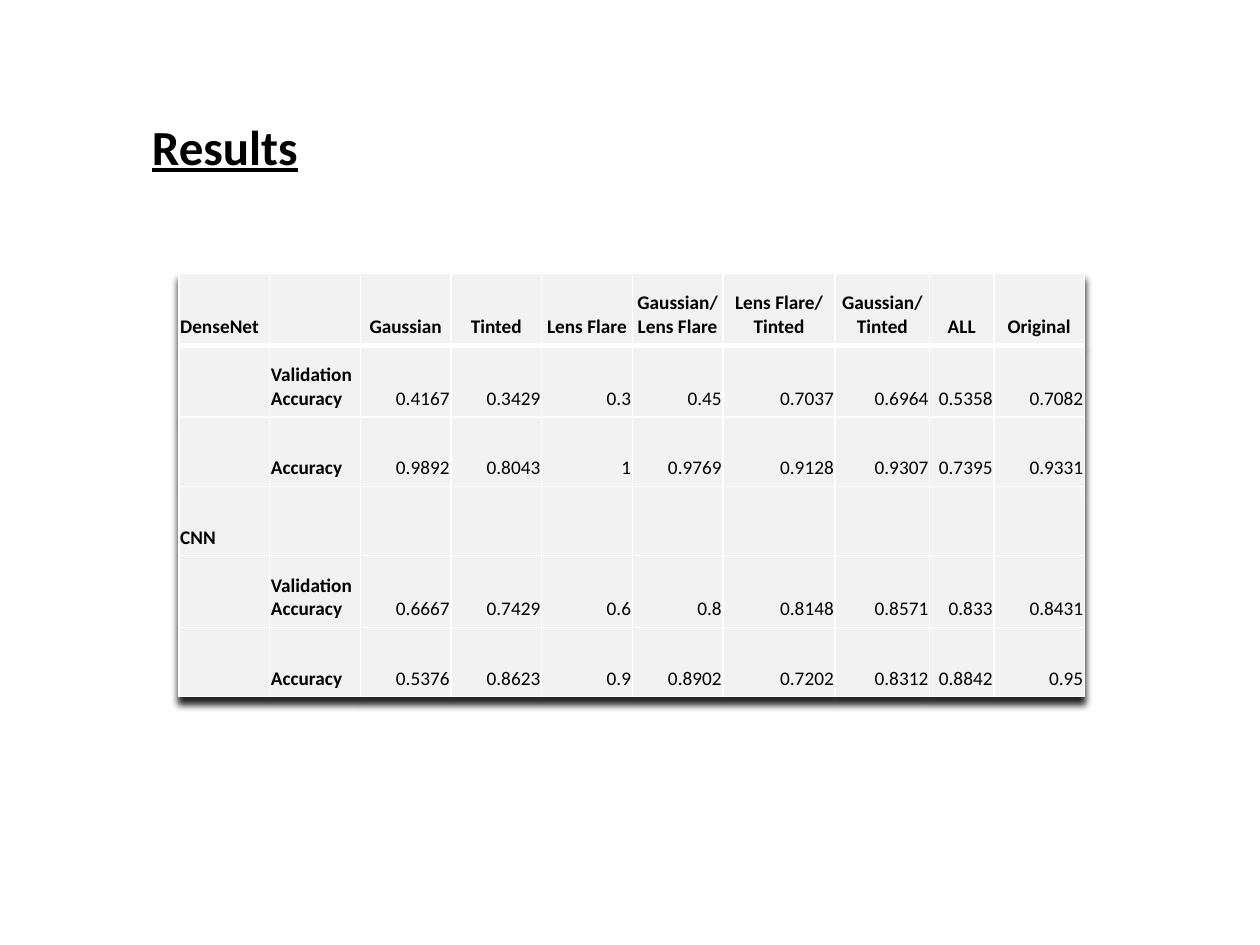
from lxml import etree
from pptx import Presentation
from pptx.dml.color import RGBColor
from pptx.enum import text
from pptx.oxml import parse_xml
from pptx.oxml.ns import nsdecls
from pptx.util import Inches, Pt

BLACK = RGBColor(0x00, 0x00, 0x00)
WHITE = RGBColor(0xFF, 0xFF, 0xFF)
PALE_GREY = RGBColor(0xF2, 0xF2, 0xF2)

COLUMN_WIDTHS = [0.72] * 6 + [0.89, 0.75, 0.51, 0.72]
ROW_HEIGHTS = [0.57, 0.57, 0.55, 0.55, 0.57, 0.55]
RESULTS = [
    ["DenseNet", "", "Gaussian", "Tinted", "Lens Flare", "Gaussian/\nLens Flare",
     "Lens Flare/\nTinted", "Gaussian/Tinted", "ALL", "Original"],
    ["", "Validation Accuracy", "0.4167", "0.3429", "0.3", "0.45",
     "0.7037", "0.6964", "0.5358", "0.7082"],
    ["", "Accuracy", "0.9892", "0.8043", "1", "0.9769",
     "0.9128", "0.9307", "0.7395", "0.9331"],
    ["CNN"] + [""] * 9,
    ["", "Validation Accuracy", "0.6667", "0.7429", "0.6", "0.8",
     "0.8148", "0.8571", "0.833", "0.8431"],
    ["", "Accuracy", "0.5376", "0.8623", "0.9", "0.8902",
     "0.7202", "0.8312", "0.8842", "0.95"],
]


def style_font(font, **values):
    for name, value in {"name": "Calibri", **values}.items():
        setattr(font, name, value)
    font.color.rgb = BLACK


def set_borders(cell, widths):
    """Draw white cell borders; widths maps an edge letter to points."""
    properties = cell._tc.get_or_add_tcPr()
    for position, (edge, width) in enumerate(widths.items()):
        properties.insert(position, parse_xml(
            f'<a:ln{edge} {nsdecls("a")} w="{Pt(width)}"><a:solidFill>'
            f'<a:srgbClr val="{WHITE}"/></a:solidFill></a:ln{edge}>'))


prs = Presentation()
prs.slide_width, prs.slide_height = Inches(10), Inches(7.5)
slide = prs.slides.add_slide(prs.slide_layouts[5])

heading = slide.shapes.title
heading.left, heading.top = Inches(0.08), Inches(0.87)
heading.width, heading.height = Inches(3.41), Inches(0.57)
heading.text_frame.text = "Results"
heading.text_frame.auto_size = text.MSO_AUTO_SIZE.NONE
heading_line = heading.text_frame.paragraphs[0]
heading_line.alignment = text.PP_ALIGN.CENTER
style_font(heading_line.runs[0].font, size=Pt(28), bold=True, underline=True)

results = slide.shapes.add_table(
    len(ROW_HEIGHTS), len(COLUMN_WIDTHS), Inches(1.42), Inches(2.17),
    Inches(sum(COLUMN_WIDTHS)), Inches(sum(ROW_HEIGHTS))).table
for column, width in zip(results.columns, COLUMN_WIDTHS):
    column.width = Inches(width)
for row, height in zip(results.rows, ROW_HEIGHTS):
    row.height = Inches(height)

table_properties = results._tbl.tblPr
table_properties.insert(0, parse_xml(
    f'<a:effectLst {nsdecls("a")}><a:outerShdw blurRad="50800" dist="50800" '
    'dir="5400000" algn="t" rotWithShape="0"><a:srgbClr val="000000">'
    '<a:alpha val="85000"/></a:srgbClr></a:outerShdw></a:effectLst>'))

for r, values in enumerate(RESULTS):
    for c, value in enumerate(values):
        cell = results.cell(r, c)
        cell.fill.solid()
        cell.fill.fore_color.rgb = PALE_GREY
        set_borders(cell, {"L": 1, "R": 1, "T": 3 if r == 1 else 1,
                           "B": 3 if r == 0 else 1})
        if not value:
            continue
        cell.vertical_anchor = text.MSO_ANCHOR.BOTTOM
        cell.margin_left = cell.margin_right = cell.margin_top = Inches(0.01)
        cell.margin_bottom = Inches(0.05)
        cell.text = value
        if c < 2:
            alignment = text.PP_ALIGN.LEFT
        elif r == 0:
            alignment = text.PP_ALIGN.CENTER
        else:
            alignment = text.PP_ALIGN.RIGHT
        for line in cell.text_frame.paragraphs:
            line.alignment = alignment
            style_font(line.runs[0].font, size=Pt(11), bold=r == 0 or c < 2)

prs.save("out.pptx")
